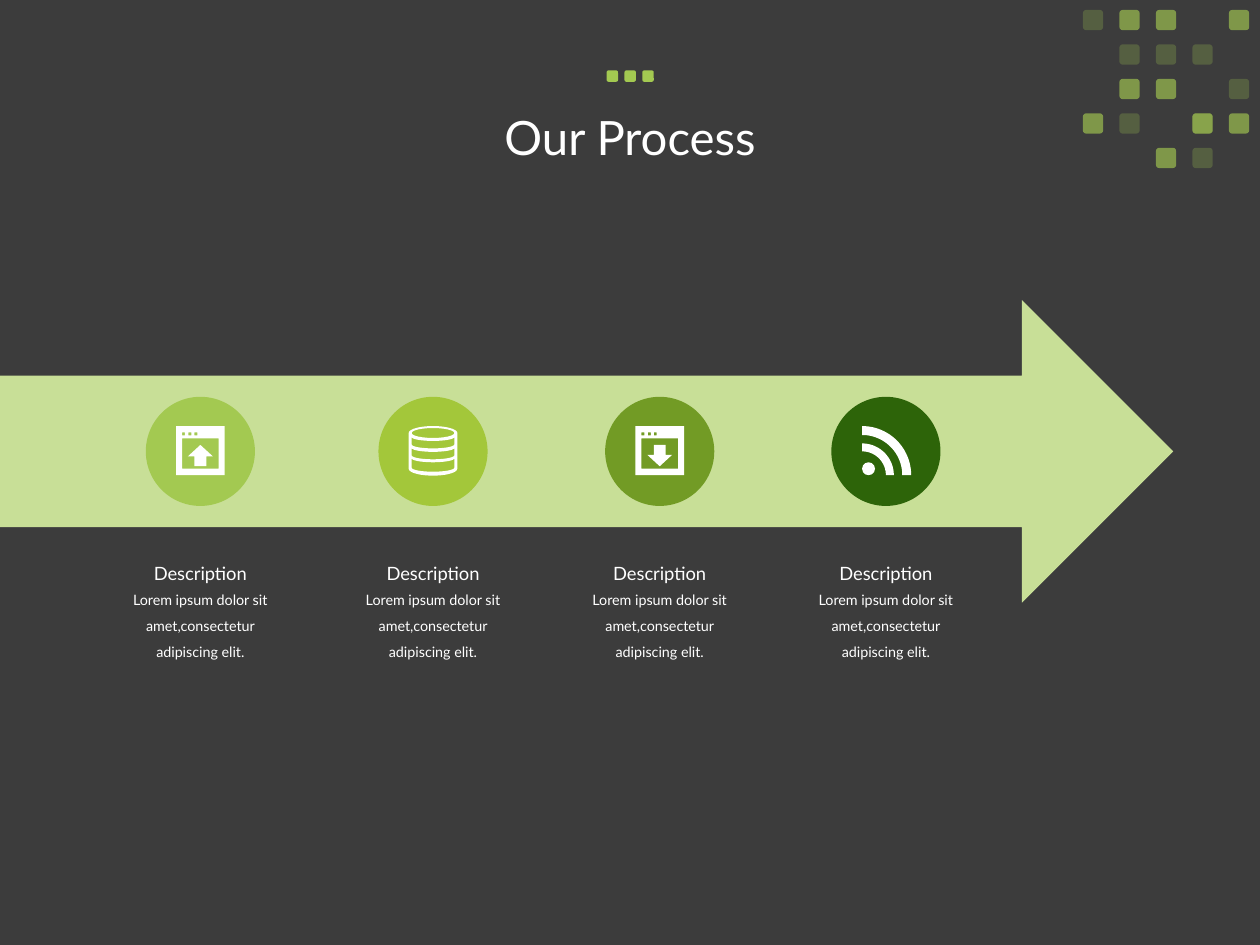
import math
from dataclasses import dataclass
from typing import Callable

import lxml.etree
import pptx
import pptx.dml.color
import pptx.enum.shapes
import pptx.enum.text
import pptx.oxml.ns
import pptx.util

Cm = pptx.util.Cm
Preset = pptx.enum.shapes.MSO_SHAPE
Fit = pptx.enum.text.MSO_AUTO_SIZE
Contour = list[tuple[float, float]]

FONT = "Lato"
WHITE = "FFFFFF"
GREEN = "A3C951"
CENTRE_Y = 9.1
CIRCLE = 2.2


def colour(value: str) -> pptx.dml.color.RGBColor:
    return pptx.dml.color.RGBColor.from_string(value)


def paint(shape, fill: str, opacity: int = 100) -> None:
    """Flat fill without outline or shadow; opacity in percent."""
    shape.shadow.inherit = False
    shape.line.fill.background()
    shape.fill.solid()
    shape.fill.fore_color.rgb = colour(fill)
    if opacity < 100:
        tone = shape.fill._xPr.find(".//" + pptx.oxml.ns.qn("a:srgbClr"))
        alpha = lxml.etree.SubElement(tone, pptx.oxml.ns.qn("a:alpha"))
        alpha.set("val", str(opacity * 1000))


def add_preset(shapes, preset, left: float, top: float, width: float,
               height: float, fill: str, opacity: int = 100) -> None:
    shape = shapes.add_shape(preset, Cm(left), Cm(top), Cm(width), Cm(height))
    paint(shape, fill, opacity)


def add_outline(shapes, centre_x: float, contours: list[Contour]) -> None:
    """White outline; contours are relative to the circle centre, inner ones cut holes."""
    points = [[(Cm(centre_x + x), Cm(CENTRE_Y + y)) for x, y in contour]
              for contour in contours]
    builder = shapes.build_freeform(*points[0][0])
    for index, contour in enumerate(points):
        if index:
            builder.move_to(*contour[0])
        builder.add_line_segments(contour[1:], close=True)
    paint(builder.convert_to_shape(), WHITE)


def format_text(frame, text: str, size: float, spacing: float) -> None:
    frame.text = text
    para = frame.paragraphs[0]
    para.alignment = pptx.enum.text.PP_ALIGN.CENTER
    para.line_spacing = spacing
    para.font.name = FONT
    para.font.size = pptx.util.Pt(size)
    para.font.color.rgb = colour(WHITE)


def add_label(page, centre_x: float, top: float, width: float, height: float,
              text: str, size: float, spacing: float, wrap: bool) -> None:
    box = page.shapes.add_textbox(Cm(centre_x - width / 2), Cm(top), Cm(width), Cm(height))
    format_text(box.text_frame, text, size, spacing)
    box.text_frame.word_wrap = wrap
    box.text_frame.auto_size = Fit.SHAPE_TO_FIT_TEXT


# Geometry of the icons
def rectangle(left: float, top: float, right: float, bottom: float) -> Contour:
    return [(left, top), (right, top), (right, bottom), (left, bottom)]


def arc(x: float, y: float, radius_x: float, radius_y: float,
        start: float, end: float) -> Contour:
    """Points of an elliptical arc, angles in degrees, clockwise from the right."""
    steps = 24
    angles = [math.radians(start + (end - start) * i / steps) for i in range(steps + 1)]
    return [(x + radius_x * math.cos(a), y + radius_y * math.sin(a)) for a in angles]


def draw_window(shapes, x: float, upward: bool) -> None:
    buttons = [rectangle(left, -0.38, left + 0.06, -0.32) for left in (-0.37, -0.24, -0.12)]
    add_outline(shapes, x, [rectangle(-0.49, -0.51, 0.49, 0.48),
                            *buttons, rectangle(-0.37, -0.26, 0.37, 0.35)])
    arrow = [(0, -0.13), (0.25, 0.1), (0.12, 0.1), (0.12, 0.3),
             (-0.12, 0.3), (-0.12, 0.1), (-0.25, 0.1)]
    if not upward:
        arrow = [(px, 0.17 - py) for px, py in arrow]
    add_outline(shapes, x, [arrow])


def draw_upload(shapes, x: float) -> None:
    draw_window(shapes, x, True)


def draw_download(shapes, x: float) -> None:
    draw_window(shapes, x, False)


def draw_database(shapes, x: float) -> None:
    body = arc(0, -0.37, 0.49, 0.14, 180, 360) + arc(0, 0.35, 0.49, 0.14, 0, 180)
    lid = arc(0, -0.37, 0.43, 0.1, 0, 360)
    bands = [arc(0, top, 0.43, 0.08, 180, 0) + arc(0, bottom, 0.43, 0.08, 0, 180)
             for top, bottom in ((-0.29, -0.14), (-0.07, 0.08), (0.14, 0.33))]
    add_outline(shapes, x, [body, lid, *bands])


def draw_feed(shapes, x: float) -> None:
    left, bottom, dot = -0.48, 0.48, 0.26
    add_preset(shapes, Preset.OVAL, x + left, CENTRE_Y + bottom - dot, dot, dot, WHITE)
    for inner, outer in ((0.48, 0.64), (0.81, 0.99)):
        add_outline(shapes, x, [arc(left, bottom, outer, outer, -90, 0)
                                + arc(left, bottom, inner, inner, 0, -90)])


@dataclass
class Step:
    centre_x: float
    fill: str
    draw_icon: Callable


STEPS = [
    Step(4.04, GREEN, draw_upload),
    Step(8.73, "A3C73A", draw_database),
    Step(13.3, "729B25", draw_download),
    Step(17.86, "2D6409", draw_feed),
]

# Corner squares: D dim, B bright, X bright under dim
MOSAIC = ["DBB.B", ".DDD.", ".BB.D", "BD.XB", "..BD."]
OPACITIES = {"D": [25], "B": [65], "X": [65, 25], ".": []}


def add_mosaic(page) -> None:
    shapes = page.shapes.add_group_shape().shapes
    for row, marks in enumerate(MOSAIC):
        for column, mark in enumerate(marks):
            for opacity in OPACITIES[mark]:
                add_preset(shapes, Preset.ROUNDED_RECTANGLE, 21.83 + 0.736 * column,
                           0.2 + 0.695 * row, 0.41, 0.41, GREEN, opacity)


def add_title(page) -> None:
    title = page.shapes.title
    title.left, title.top, title.width, title.height = Cm(1.75), Cm(1), Cm(21.9), Cm(3.67)
    format_text(title.text_frame, "Our Process", 27, 0.9)
    title.text_frame.vertical_anchor = pptx.enum.text.MSO_ANCHOR.MIDDLE
    dots = page.shapes.add_group_shape().shapes
    for index in range(3):
        add_preset(dots, Preset.ROUNDED_RECTANGLE, 12.23 + 0.36 * index, 1.42,
                   0.23, 0.23, GREEN)


def add_step(page, step: Step) -> None:
    add_preset(page.shapes, Preset.OVAL, step.centre_x - CIRCLE / 2,
               CENTRE_Y - CIRCLE / 2, CIRCLE, CIRCLE, step.fill)
    step.draw_icon(page.shapes.add_group_shape().shapes, step.centre_x)
    add_label(page, step.centre_x, 11.2, 2.51, 0.71, "Description", 10.5, 1.0, False)
    add_label(page, step.centre_x, 11.63, 3.78, 1.78,
              "Lorem ipsum dolor sit amet,consectetur adipiscing elit.", 8.2, 1.5, True)


def main() -> None:
    deck = pptx.Presentation()
    deck.slide_width, deck.slide_height = Cm(25.4), Cm(19.05)
    page = deck.slides.add_slide(deck.slide_layouts[5])
    page.background.fill.solid()
    page.background.fill.fore_color.rgb = colour("3C3C3C")

    add_title(page)
    add_mosaic(page)
    # Process arrow with its steps
    add_preset(page.shapes, Preset.NOTCHED_RIGHT_ARROW, -1.55, 6.05, 25.2, 6.1, "C8DF97")
    for step in STEPS:
        add_step(page, step)
    deck.save("out.pptx")


if __name__ == "__main__":
    main()
